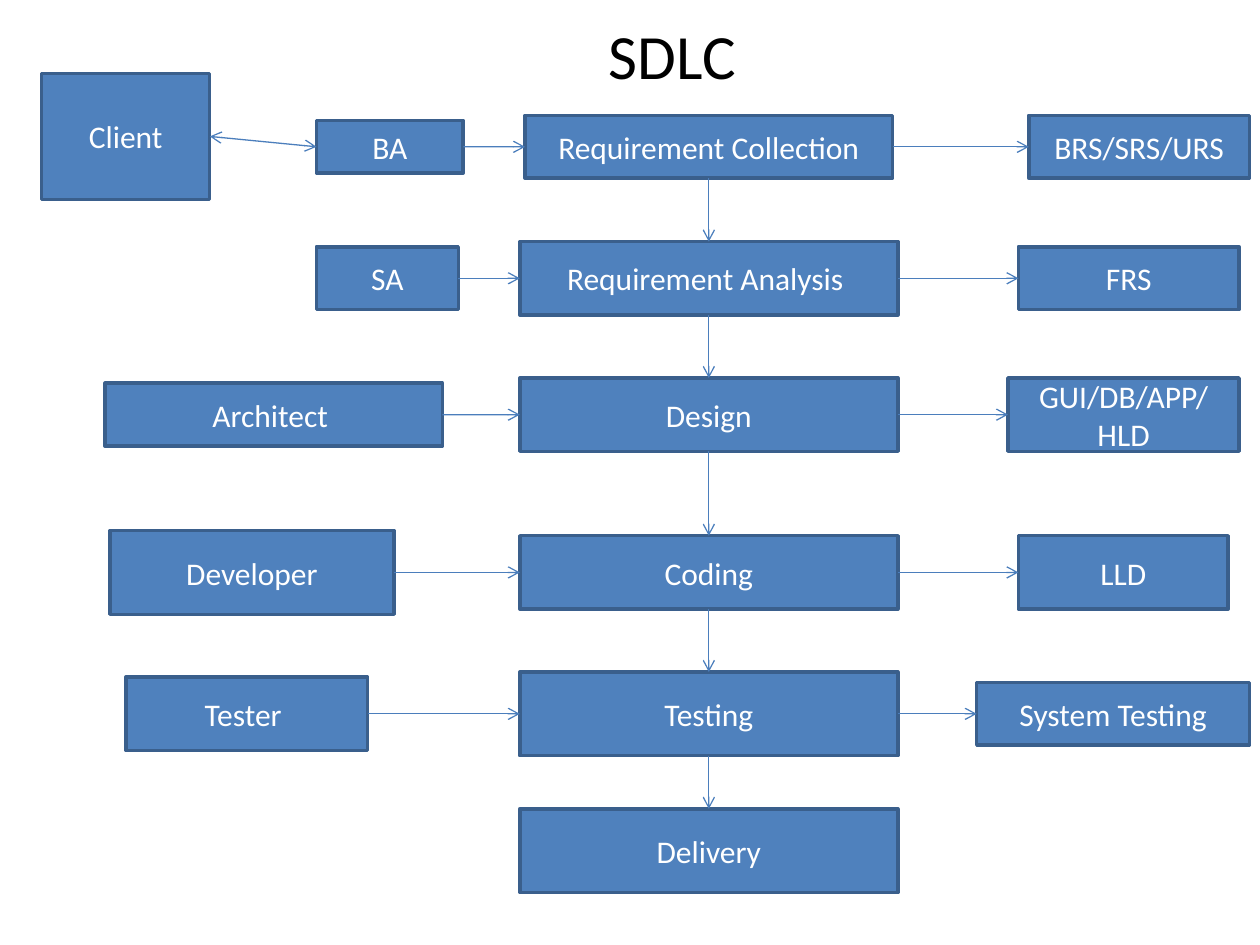
from pptx import Presentation
from pptx.dml.color import RGBColor
from pptx.enum.shapes import MSO_CONNECTOR, MSO_SHAPE
from pptx.enum.text import MSO_ANCHOR, PP_ALIGN
from pptx.oxml.ns import qn
from pptx.util import Cm, Pt
from lxml.etree import SubElement

FILL, BORDER, ARROW, WHITE, BLACK = "4F81BD", "3A5F8C", "4B7EBC", "FFFFFF", "000000"
TOP, LEFT, BOTTOM, RIGHT = range(4)
PHASE_CENTER = 14.29

TITLE = ("SDLC", 7.41, 0.21, 12.28, 1.8)
CLIENT = ("Client", 0.84, 2.75, 3.39, 2.54)
PHASES = [
    {"middle": 2.96, "phase": ("Requirement Collection", 7.41, 1.27),
     "role": ("BA", 6.38, 2.96, 1.06), "output": ("BRS/SRS/URS", 20.74, 4.45, 1.27)},
    {"middle": 5.61, "phase": ("Requirement Analysis ", 7.62, 1.48),
     "role": ("SA", 6.38, 2.86, 1.27), "output": ("FRS", 20.53, 4.45, 1.27)},
    {"middle": 8.36, "phase": ("Design", 7.62, 1.48),
     "role": ("Architect ", 2.12, 6.8, 1.27), "output": ("GUI/DB/APP/HLD", 20.32, 4.66, 1.48)},
    {"middle": 11.54, "phase": ("Coding", 7.62, 1.48),
     "role": ("Developer", 2.22, 5.72, 1.69), "output": ("LLD", 20.53, 4.23, 1.48)},
    {"middle": 14.39, "phase": ("Testing", 7.62, 1.69),
     "role": ("Tester ", 2.54, 4.87, 1.48), "output": ("System Testing", 19.69, 5.5, 1.27)},
    {"middle": 17.15, "phase": ("Delivery", 7.62, 1.69)},
]


def color(hex_string):
    return RGBColor.from_string(hex_string)


def write_text(shape, text, size=18, font_color=WHITE, anchor=MSO_ANCHOR.MIDDLE):
    frame = shape.text_frame
    frame.word_wrap = True
    frame.vertical_anchor = anchor
    paragraph = frame.paragraphs[0]
    paragraph.alignment = PP_ALIGN.CENTER
    run = paragraph.add_run()
    run.text = text
    run.font.name = "Calibri"
    run.font.size = Pt(size)
    run.font.color.rgb = color(font_color)


def add_box(slide, text, left, middle, width, height):
    shape = slide.shapes.add_shape(
        MSO_SHAPE.RECTANGLE, Cm(left), Cm(middle - height / 2), Cm(width), Cm(height))
    shape.shadow.inherit = False
    shape.fill.solid()
    shape.fill.fore_color.rgb = color(FILL)
    shape.line.color.rgb = color(BORDER)
    shape.line.width = Pt(2)
    write_text(shape, text)
    return shape


def add_arrow(slide, source, source_side, target, target_side, both_ends=False):
    connector = slide.shapes.add_connector(MSO_CONNECTOR.STRAIGHT, 0, 0, 0, 0)
    connector.begin_connect(source, source_side)
    connector.end_connect(target, target_side)
    connector.line.color.rgb = color(ARROW)
    connector.line.width = Pt(0.75)
    properties = connector._element.spPr
    line = properties.find(qn("a:ln"))
    for end in ("a:headEnd", "a:tailEnd") if both_ends else ("a:tailEnd",):
        SubElement(line, qn(end), type="arrow")
    SubElement(properties, qn("a:effectLst"))


def main():
    presentation = Presentation()
    presentation.slide_width, presentation.slide_height = Cm(25.4), Cm(19.05)
    slide = presentation.slides.add_slide(presentation.slide_layouts[6])

    title, *title_place = TITLE
    title_box = slide.shapes.add_textbox(*[Cm(length) for length in title_place])
    write_text(title_box, title, size=36, font_color=BLACK, anchor=MSO_ANCHOR.TOP)

    client = add_box(slide, *CLIENT)
    previous = None
    for row in PHASES:
        middle = row["middle"]
        text, width, height = row["phase"]
        phase = add_box(slide, text, PHASE_CENTER - width / 2, middle, width, height)
        if "role" in row:
            text, left, width, height = row["role"]
            role = add_box(slide, text, left, middle, width, height)
            add_arrow(slide, role, RIGHT, phase, LEFT)
            if previous is None:
                add_arrow(slide, client, RIGHT, role, LEFT, both_ends=True)
        if "output" in row:
            text, left, width, height = row["output"]
            output = add_box(slide, text, left, middle, width, height)
            add_arrow(slide, phase, RIGHT, output, LEFT)
        if previous is not None:
            add_arrow(slide, previous, BOTTOM, phase, TOP)
        previous = phase

    presentation.save("out.pptx")


if __name__ == "__main__":
    main()
